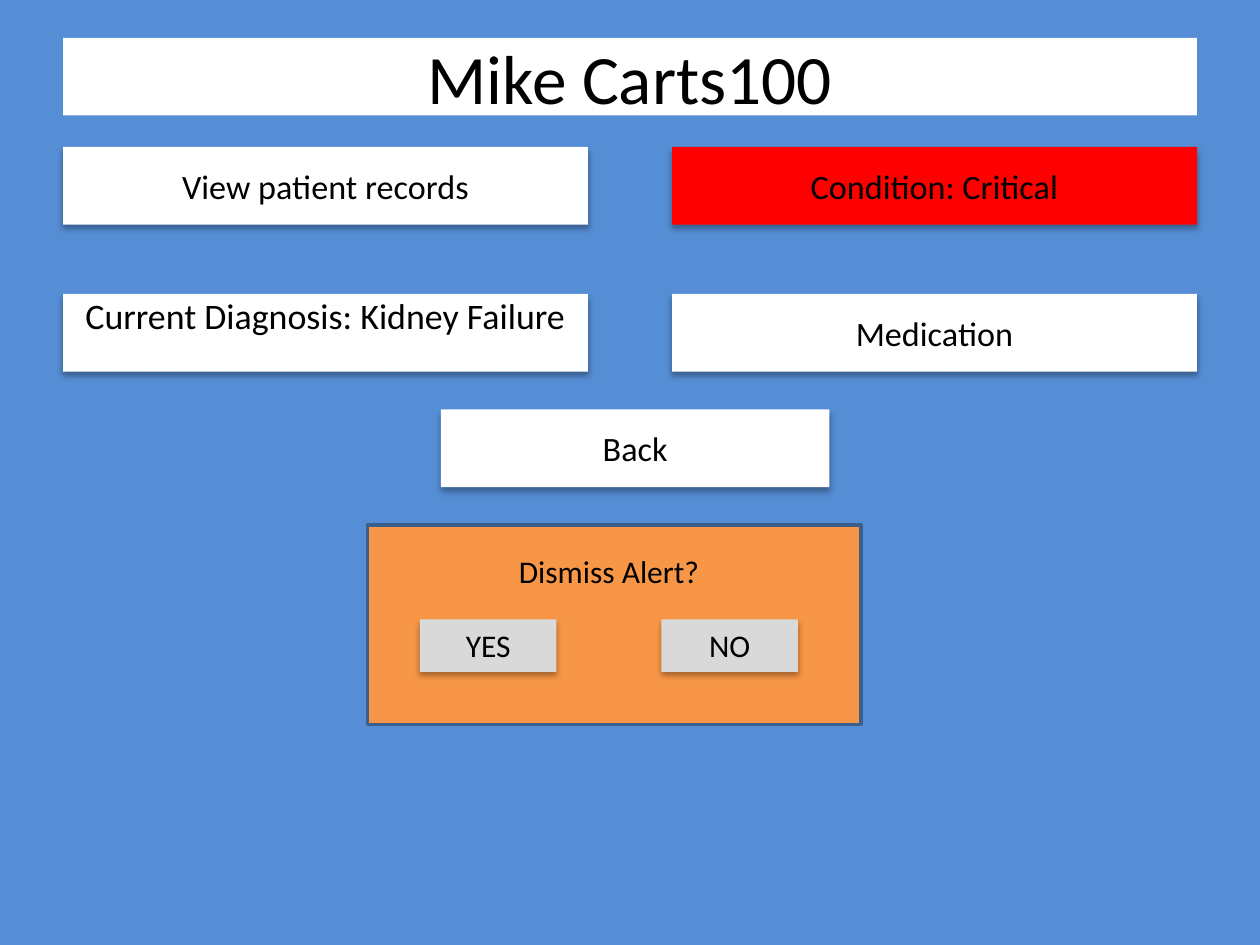
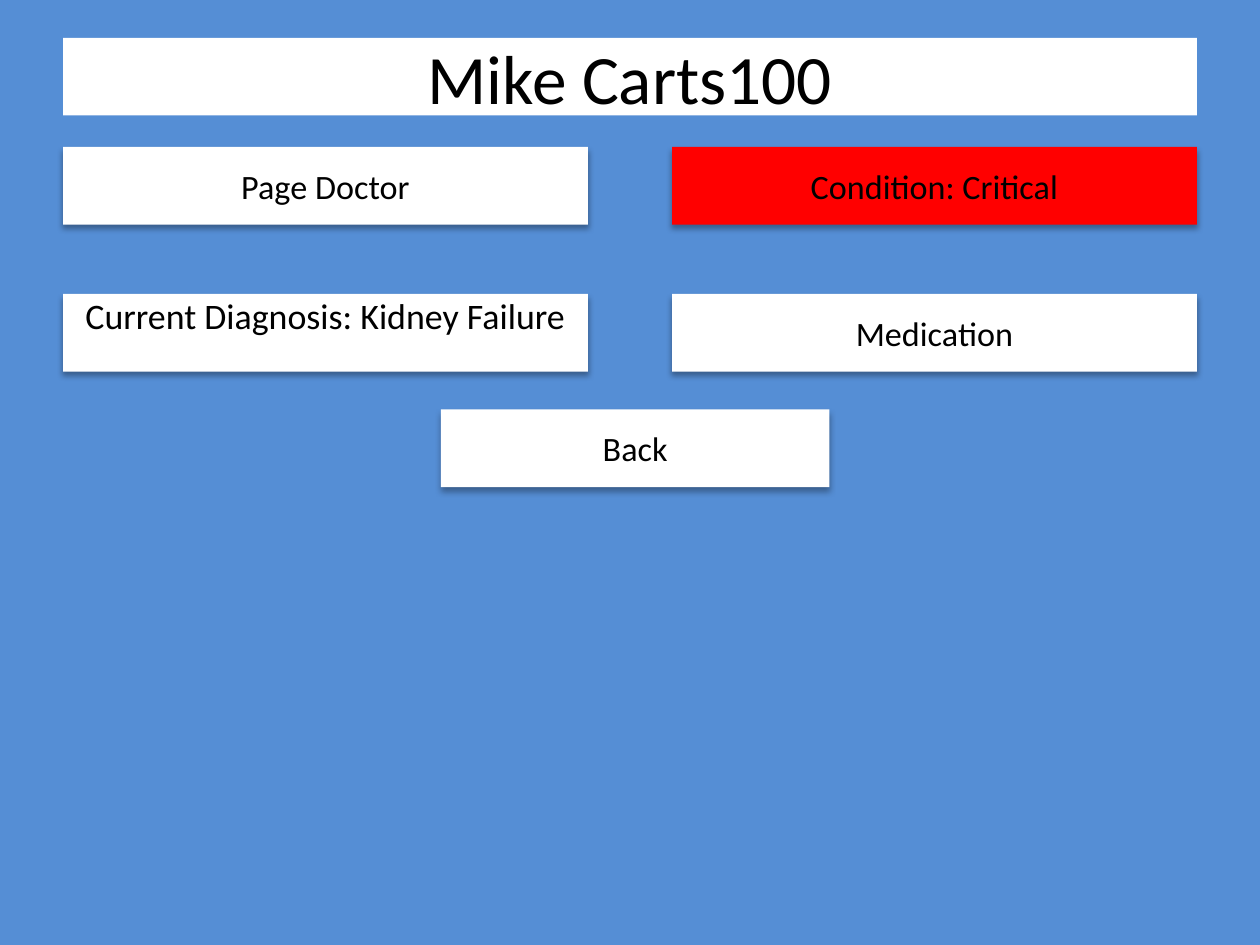
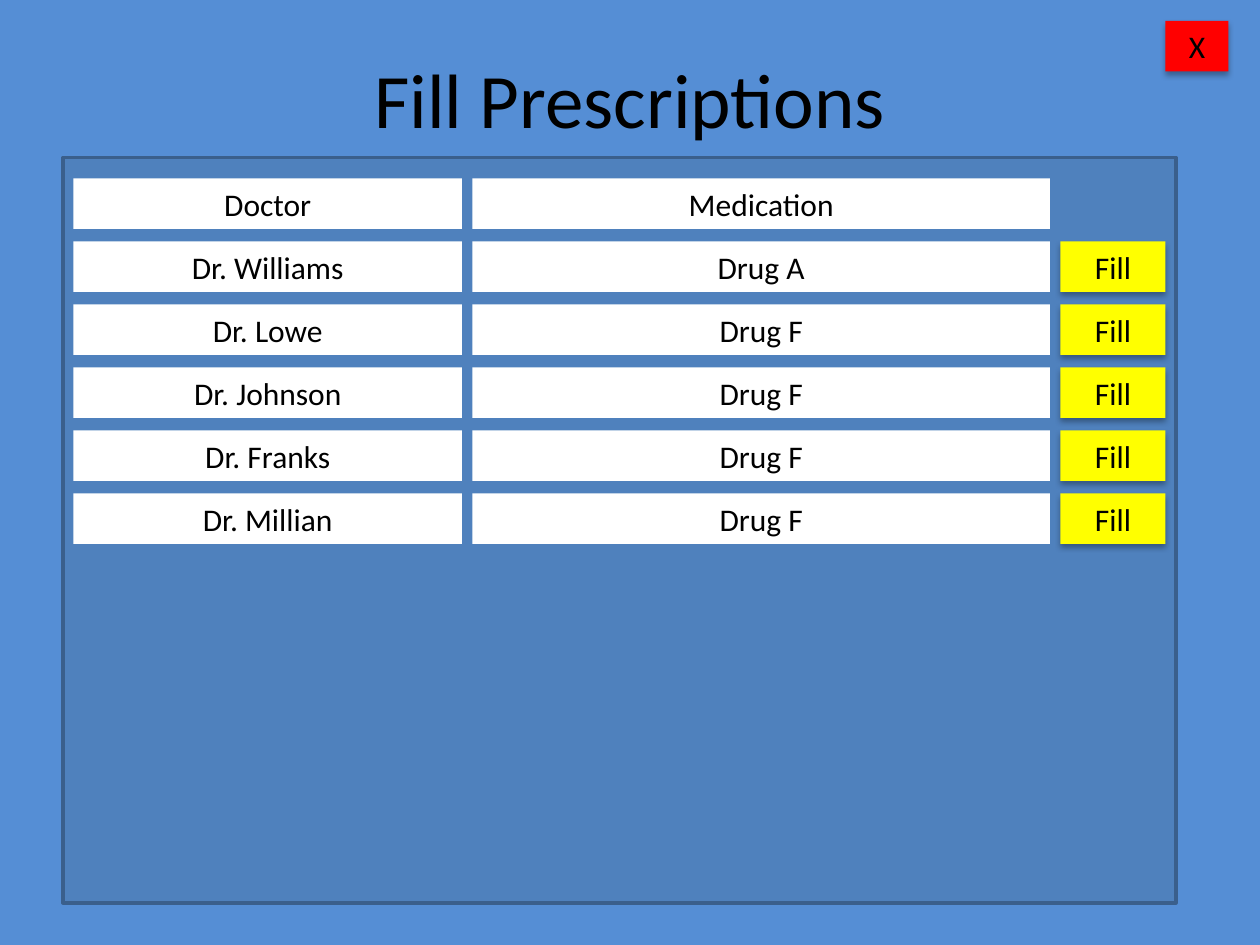
import lxml.etree
import pptx
import pptx.dml.color
import pptx.enum.shapes
import pptx.enum.text
import pptx.oxml.ns
import pptx.util

UNIT = pptx.util.Inches(1) / 12
FONT = "Calibri"
SKY, WHITE, BLACK = "558ED5", "FFFFFF", "000000"
RED, YELLOW, ORANGE = "FF0000", "FFFF00", "F79646"
GREY, BLUE, EDGE = "D9D9D9", "4F81BD", "3A5F8C"
TOP = pptx.enum.text.MSO_ANCHOR.TOP
MIDDLE = pptx.enum.text.MSO_ANCHOR.MIDDLE
FIXED = pptx.enum.text.MSO_AUTO_SIZE.NONE
GROW = pptx.enum.text.MSO_AUTO_SIZE.SHAPE_TO_FIT_TEXT
TALL, SHORT = 7.4, 4.8
LEFT, RIGHT, HALF = 6, 64, 50


def span(*cells):
    """Turn grid columns and rows of a twelfth of an inch into lengths."""
    return [round(cell * UNIT) for cell in cells]


def paint(fill, tone):
    """Give a fill one solid colour from a hex string."""
    fill.solid()
    fill.fore_color.rgb = pptx.dml.color.RGBColor.from_string(tone)


def write(shape, text, size=18, anchor=TOP, fit=GROW, pad=0.05):
    """Put one centred line of text into a shape."""
    frame = shape.text_frame
    frame.text = text
    frame.word_wrap = True
    frame.auto_size = fit
    frame.vertical_anchor = anchor
    frame.margin_top = frame.margin_bottom = pptx.util.Inches(pad)
    line = frame.paragraphs[0]
    line.alignment = pptx.enum.text.PP_ALIGN.CENTER
    line.font.name = FONT
    line.font.size = pptx.util.Pt(size)
    paint(line.font.fill, BLACK)


def shade(shape):
    """Drop a soft shadow straight below a shape."""
    tag = pptx.oxml.ns.qn
    effects = shape.element.spPr.find(tag("a:effectLst"))
    outer = lxml.etree.SubElement(
        effects, tag("a:outerShdw"), blurRad=str(pptx.util.Pt(3.5)),
        dist=str(pptx.util.Pt(2.2)), dir="5400000", rotWithShape="0")
    tone = lxml.etree.SubElement(outer, tag("a:srgbClr"), val=BLACK)
    lxml.etree.SubElement(tone, tag("a:alpha"), val="32000")


def block(slide, place, tone, edge=None):
    """Draw a flat rectangle, with an outline if an edge colour is given."""
    shape = slide.shapes.add_shape(
        pptx.enum.shapes.MSO_SHAPE.RECTANGLE, *span(*place))
    paint(shape.fill, tone)
    if edge:
        paint(shape.line.fill, edge)
        shape.line.width = pptx.util.Pt(2)
    else:
        shape.line.fill.background()
    shape.shadow.inherit = False
    return shape


def cell(slide, text, place, tone=WHITE):
    """Draw a flat labelled rectangle."""
    shape = block(slide, place, tone)
    write(shape, text)
    return shape


def key(slide, text, place, tone):
    """Draw a small button with a shadow."""
    shade(cell(slide, text, place, tone))


def card(slide, text, col, row, wide=HALF, tone=WHITE, **style):
    """Draw a large button with a shadow."""
    shape = block(slide, (col, row, wide, TALL), tone)
    shade(shape)
    write(shape, text, **{"size": 19.5, "anchor": MIDDLE, "fit": FIXED, **style})


def start(deck, text, place, size, tone=None):
    """Add a slide and set its title."""
    slide = deck.slides.add_slide(deck.slide_layouts[5])
    title = slide.shapes.title
    title.left, title.top, title.width, title.height = span(*place)
    if tone:
        paint(title.fill, tone)
    write(title, text, size=size, anchor=MIDDLE, fit=FIXED, pad=0)
    return slide


def chart(deck, action):
    """Build a patient page whose first button carries the given action."""
    slide = start(deck, "Mike Carts100", (LEFT, 3.6, 108, TALL), 39.6, WHITE)
    card(slide, action, LEFT, 14)
    card(slide, "Current Diagnosis: Kidney Failure", LEFT, 28,
         size=20.5, anchor=TOP, pad=0)
    card(slide, "Condition: Critical", RIGHT, 14, tone=RED)
    card(slide, "Medication", RIGHT, 28)
    card(slide, "Back", 42, 39, wide=37)
    return slide


def alert(slide):
    """Draw the dialog that asks about the alert."""
    block(slide, (35, 50, 47, 19), ORANGE, EDGE)
    write(slide.shapes.add_textbox(*span(40, 52, 36, 5)), "Dismiss Alert?")
    for text, col in (("YES", 40), ("NO", 63)):
        key(slide, text, (col, 59, 13, 5), GREY)


def orders(deck):
    """Build the list of prescriptions to fill."""
    slide = start(deck, "Fill Prescriptions", (LEFT, 3.6, 108, 11.4), 44)
    block(slide, (LEFT, 15, 106, 71), BLUE, EDGE)
    key(slide, "X", (111, 2, 6, SHORT), RED)
    rows = [("Doctor", "Medication"), ("Dr. Williams", "Drug A"),
            ("Dr. Lowe", "Drug F"), ("Dr. Johnson", "Drug F"),
            ("Dr. Franks", "Drug F"), ("Dr. Millian", "Drug F")]
    for index, (doctor, drug) in enumerate(rows):
        row = 17 + 6 * index
        cell(slide, doctor, (7, row, 37, SHORT))
        cell(slide, drug, (45, row, 55, SHORT))
        if index:
            key(slide, "Fill", (101, row, 10, SHORT), YELLOW)


def main():
    """Build and save the deck."""
    deck = pptx.Presentation()
    deck.slide_width, deck.slide_height = span(120, 90)
    paint(deck.slide_master.background.fill, SKY)
    alert(chart(deck, "View patient records"))
    chart(deck, "Page Doctor")
    orders(deck)
    deck.save("out.pptx")


if __name__ == "__main__":
    main()
